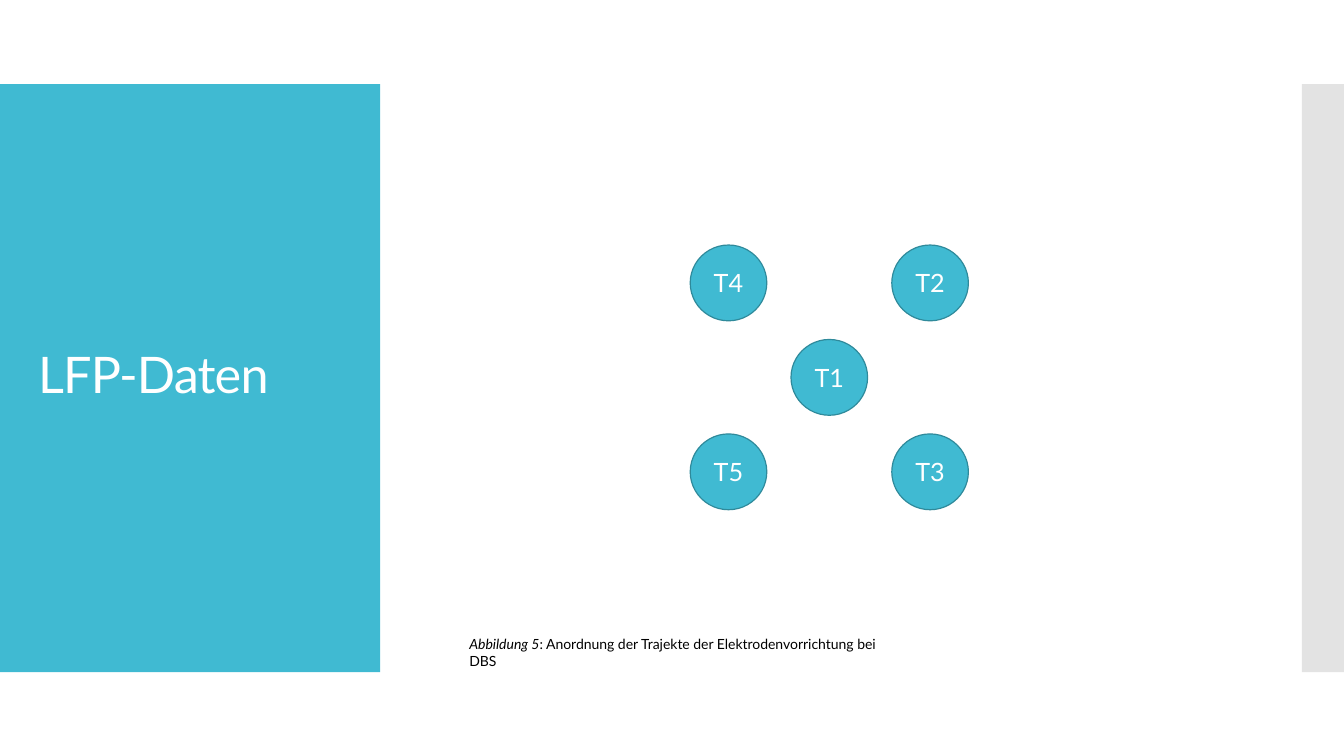
from lxml import etree
from pptx import Presentation
from pptx.dml.color import RGBColor
from pptx.enum.shapes import MSO_SHAPE
from pptx.enum.text import MSO_ANCHOR, PP_ALIGN
from pptx.oxml.ns import qn
from pptx.util import Cm, Pt

RECT, OVAL = MSO_SHAPE.RECTANGLE, MSO_SHAPE.OVAL
TOP, MIDDLE = MSO_ANCHOR.TOP, MSO_ANCHOR.MIDDLE
LEFT, CENTER = PP_ALIGN.LEFT, PP_ALIGN.CENTER

TEAL, DARK_TEAL, GREY = "40BAD2", "2F8A9B", "C8C8C8"
WHITE, BLACK = "FFFFFF", "000000"

BAND_TOP, BAND_HEIGHT = 2.12, 14.82
CIRCLE_W, CIRCLE_H = 1.93, 1.91
CENTRE_X, CENTRE_Y = 20.9, 9.51
STEP_X, STEP_Y = 2.54, 2.38
TRAJECTORIES = [("T2", 1, -1), ("T1", 0, 0), ("T3", 1, 1), ("T4", -1, -1), ("T5", -1, 1)]


def rgb(value):
    return RGBColor.from_string(value)


class Deck:
    def __init__(self, prs, font="Lato"):
        self.s = prs.slides.add_slide(prs.slide_layouts[6])
        self.font = font

    def shape(self, kind, x, y, w, h, fill, line=None, alpha=None):
        """Add a filled shape; alpha is its opacity in percent."""
        sp = self.s.shapes.add_shape(kind, Cm(x), Cm(y), Cm(w), Cm(h))
        sp.shadow.inherit = False
        sp.fill.solid()
        sp.fill.fore_color.rgb = rgb(fill)
        if alpha is not None:
            color = sp.element.spPr.find(qn("a:solidFill"))[0]
            etree.SubElement(color, qn("a:alpha"), val=str(alpha * 1000))
        if line:
            sp.line.color.rgb = rgb(line)
            sp.line.width = Pt(0.85)
        else:
            sp.line.fill.background()
        return sp

    def set_text(self, sp, runs, size, color, align=LEFT, anchor=TOP):
        """Fill a shape with one paragraph of (text, italic) runs."""
        tf = sp.text_frame
        tf.word_wrap = True
        tf.vertical_anchor = anchor
        p = tf.paragraphs[0]
        p.alignment = align
        for text, italic in runs:
            r = p.add_run()
            r.text = text
            for name, value in {"name": self.font, "size": Pt(size), "italic": italic}.items():
                setattr(r.font, name, value)
            r.font.color.rgb = rgb(color)
        return p

    def text(self, x, y, w, h, runs, size, color, **layout):
        sp = self.s.shapes.add_textbox(Cm(x), Cm(y), Cm(w), Cm(h))
        return self.set_text(sp, runs, size, color, **layout)

    def title(self, x, y, w, h, text):
        p = self.text(x, y, w, h, [(text, False)], 36, WHITE, anchor=MIDDLE)
        p.line_spacing = 0.9
        p.runs[0]._r.get_or_add_rPr().set("spc", "-60")

    def trajectory(self, label, column, row):
        """Add a labelled circle, placed in steps from the central one."""
        x = CENTRE_X + column * STEP_X - CIRCLE_W / 2
        y = CENTRE_Y + row * STEP_Y - CIRCLE_H / 2
        sp = self.shape(OVAL, x, y, CIRCLE_W, CIRCLE_H, TEAL, DARK_TEAL)
        self.set_text(sp, [(label, False)], 18, WHITE, align=CENTER, anchor=MIDDLE)


def main():
    prs = Presentation()
    prs.slide_width, prs.slide_height = Cm(33.87), Cm(19.05)
    deck = Deck(prs)
    deck.shape(RECT, 0, BAND_TOP, 9.58, BAND_HEIGHT, TEAL)
    deck.shape(RECT, 32.81, BAND_TOP, 1.06, BAND_HEIGHT, GREY, alpha=50)
    deck.title(0.71, 3.12, 8.18, 12.78, "LFP-Daten")
    for label, column, row in TRAJECTORIES:
        deck.trajectory(label, column, row)
    caption = [
        ("Abbildung 5", True),
        (": Anordnung der Trajekte der Elektrodenvorrichtung bei DBS", False),
    ]
    deck.text(11.58, 15.9, 11.1, 0.69, caption, 10, BLACK)
    prs.save("out.pptx")


if __name__ == "__main__":
    main()
